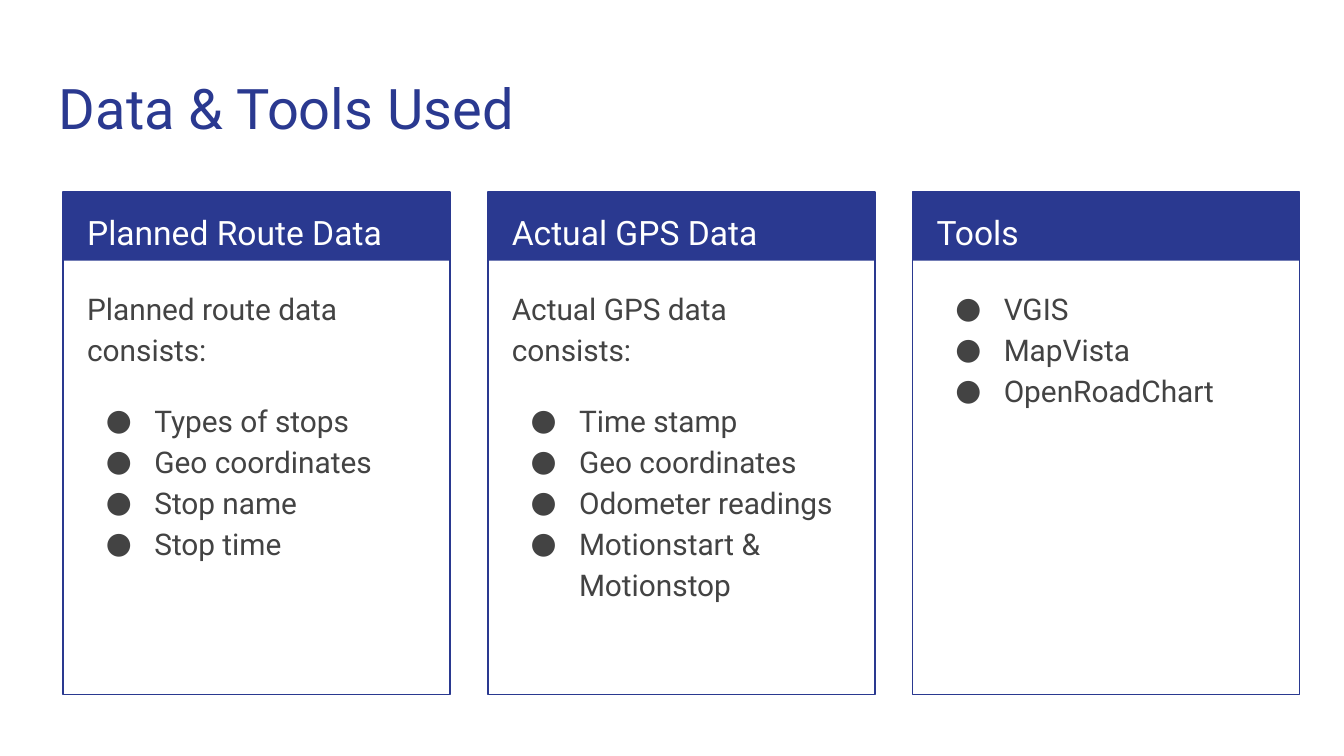
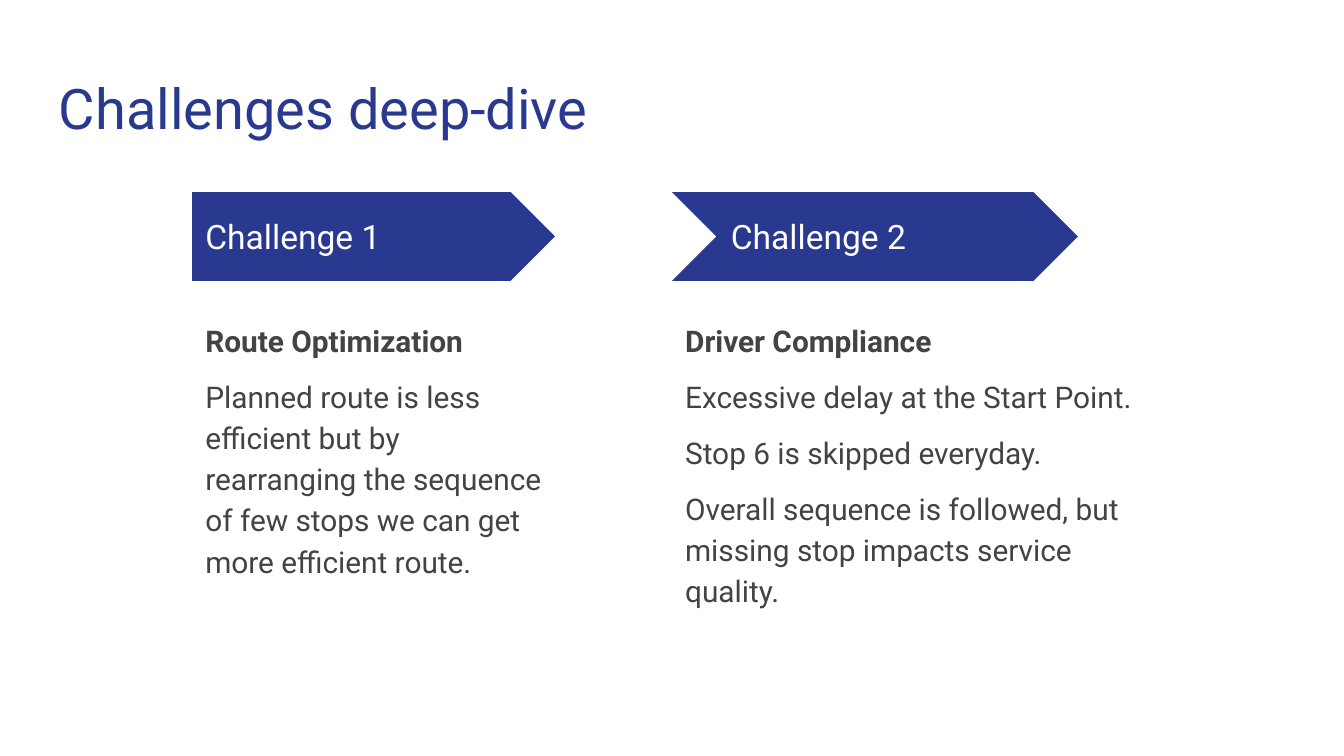
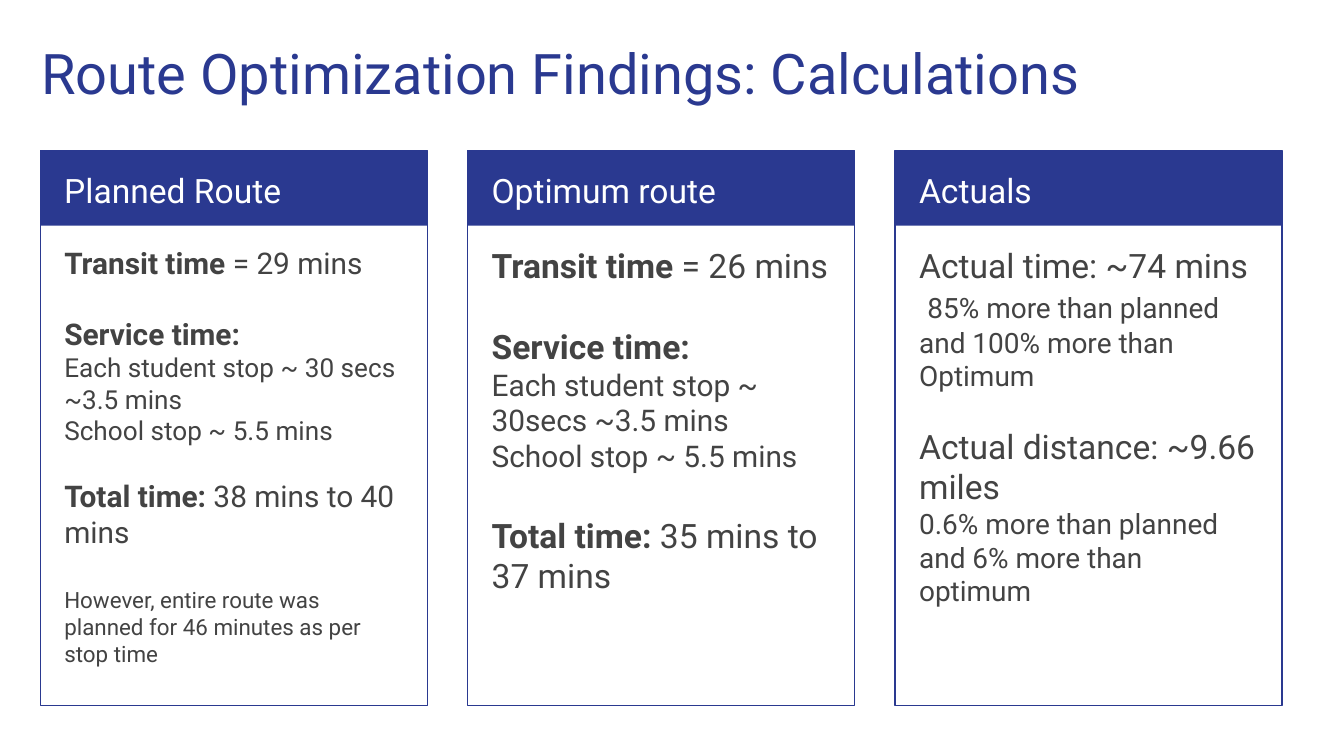
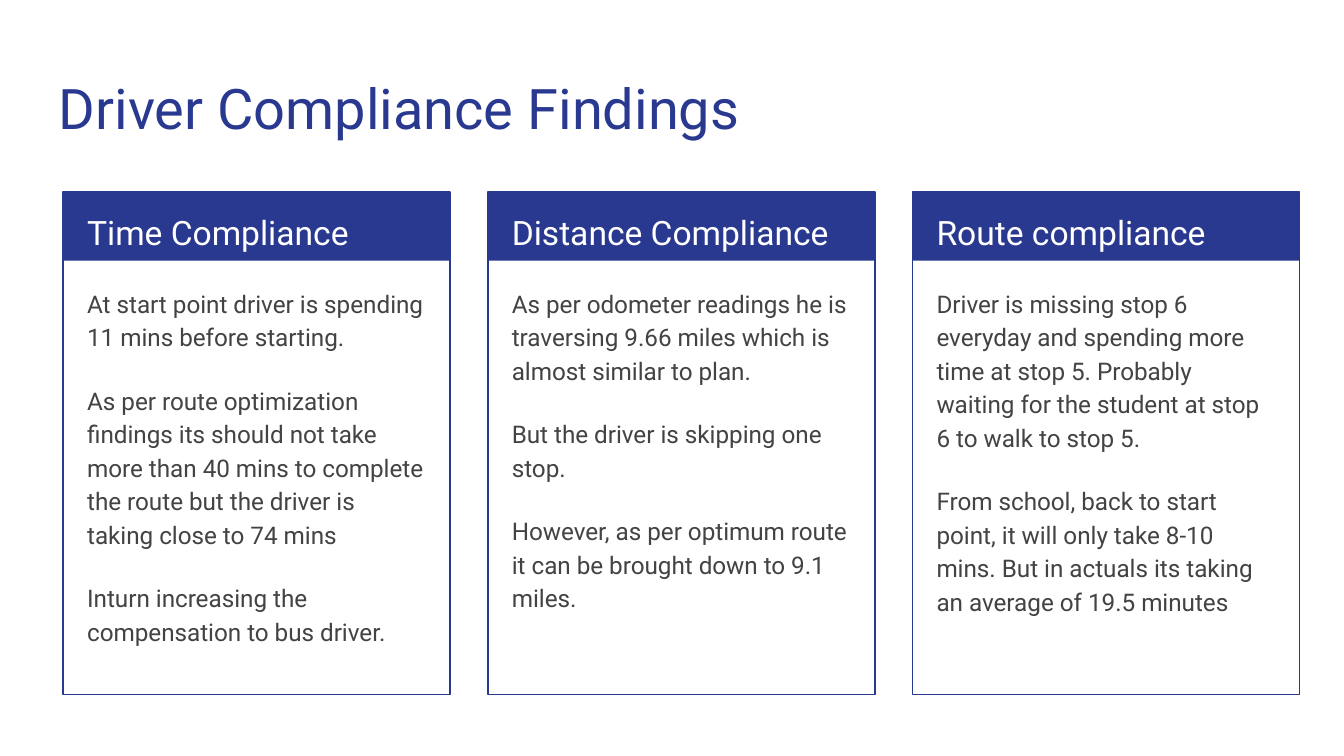
from dataclasses import dataclass, replace

from lxml import etree
from pptx import Presentation
from pptx.dml.color import RGBColor
from pptx.enum.shapes import MSO_SHAPE
from pptx.enum.text import MSO_ANCHOR
from pptx.oxml.ns import qn
from pptx.util import Emu, Pt

RECT = MSO_SHAPE.RECTANGLE
PENTAGON = MSO_SHAPE.PENTAGON
CHEVRON = MSO_SHAPE.CHEVRON
TOP = MSO_ANCHOR.TOP
MIDDLE = MSO_ANCHOR.MIDDLE

EMU_PER_PX = 9144
PAGE_WIDTH = 1000
FONT = "Roboto"
NAVY = "2A3990"
GREY = "434343"
WHITE = "FFFFFF"
PADDING = 10
BULLET_LEFT = 50
BULLET_HANG = 36
CARD_WIDTH = 288
TEXT_INSET = 8


@dataclass(frozen=True)
class Area:
    left: int
    top: int
    width: int
    height: int


@dataclass(frozen=True)
class Span:
    text: str
    size: int | None = None
    bold: bool | None = None


@dataclass(frozen=True)
class Para:
    spans: tuple[Span, ...]
    size: int = 16
    color: str = GREY
    bold: bool = False
    spacing: float = 1.15
    before: int = 0
    after: int = 0
    bullet: bool = False


@dataclass(frozen=True)
class Card:
    heading: str
    paras: list[Para]


@dataclass(frozen=True)
class CardGrid:
    left: int
    top: int
    pitch: int
    band_height: int
    height: int
    body_top: int
    body_height: int


@dataclass(frozen=True)
class Challenge:
    heading: str
    shape: MSO_SHAPE
    left: int
    arrow_width: int
    heading_left: int
    body_width: int
    paras: list[Para]


STANDARD_GRID = CardGrid(47, 143, 316, 51, 374, 202, 306)
TALL_GRID = CardGrid(30, 112, 318, 56, 413, 172, 347)
TITLE_AREA = Area(34, 45, 932, 66)
HIGH_TITLE_AREA = Area(21, 19, 932, 66)


def px(length: int) -> Emu:
    return Emu(length * EMU_PER_PX)


def rgb(color: str) -> RGBColor:
    return RGBColor.from_string(color)


def line(text: str, **style) -> Para:
    return Para((Span(text),), **style)


def bullets(*texts: str, before: int = 0) -> list[Para]:
    first, *rest = [line(text, bullet=True) for text in texts]
    return [replace(first, before=before), *rest]


def passages(*texts: str) -> list[Para]:
    return [line(text, size=13, before=16 if index else 0)
            for index, text in enumerate(texts)]


def labelled(label: str, value: str, size: int, before: int = 0) -> Para:
    return Para((Span(label, bold=True), Span(value)), size, spacing=1.0, before=before)


def timings(transit: str, stop: str, total: str, size: int, detail_size: int,
            gap: int, total_gap: int) -> list[Para]:
    return [
        labelled("Transit time", transit, size),
        line("Service time:", size=size, bold=True, spacing=1.0, before=gap),
        line(stop, size=detail_size, spacing=1.0),
        line("School stop ~ 5.5 mins", size=detail_size, spacing=1.0),
        labelled("Total time:", total, size, total_gap),
    ]


def add_bullet(paragraph, color: str) -> None:
    props = paragraph._p.get_or_add_pPr()
    props.set("marL", str(px(BULLET_LEFT)))
    props.set("indent", str(px(-BULLET_HANG)))
    bullet_color = etree.SubElement(props, qn("a:buClr"))
    etree.SubElement(bullet_color, qn("a:srgbClr")).set("val", color)
    etree.SubElement(props, qn("a:buFont")).set("typeface", FONT)
    etree.SubElement(props, qn("a:buChar")).set("char", "●")


def write_para(paragraph, para: Para) -> None:
    paragraph.line_spacing = para.spacing
    paragraph.space_before = Pt(para.before)
    paragraph.space_after = Pt(para.after)
    if para.bullet:
        add_bullet(paragraph, para.color)
    font = paragraph.font
    font.name = FONT
    font.size = Pt(para.size)
    font.bold = para.bold
    font.color.rgb = rgb(para.color)
    for span in para.spans:
        run = paragraph.add_run()
        run.text = span.text
        if span.size is not None:
            run.font.size = Pt(span.size)
        if span.bold is not None:
            run.font.bold = span.bold


def add_text(page, area: Area, paras: list[Para], anchor: MSO_ANCHOR = TOP) -> None:
    box = page.shapes.add_textbox(
        px(area.left), px(area.top), px(area.width), px(area.height))
    frame = box.text_frame
    frame.word_wrap = True
    frame.vertical_anchor = anchor
    frame.margin_left = frame.margin_right = px(PADDING)
    frame.margin_top = frame.margin_bottom = px(PADDING)
    for index, para in enumerate(paras):
        paragraph = frame.add_paragraph() if index else frame.paragraphs[0]
        write_para(paragraph, para)


def add_shape(page, kind: MSO_SHAPE, area: Area, filled: bool = True) -> None:
    shape = page.shapes.add_shape(
        kind, px(area.left), px(area.top), px(area.width), px(area.height))
    shape.shadow.inherit = False
    if filled:
        shape.fill.solid()
        shape.fill.fore_color.rgb = rgb(NAVY)
        shape.line.fill.background()
    else:
        shape.fill.background()
        shape.line.color.rgb = rgb(NAVY)
        shape.line.width = Pt(0.75)


def add_page(deck, title: str, area: Area = TITLE_AREA):
    page = deck.slides.add_slide(deck.slide_layouts[6])
    add_text(page, area, [line(title, size=30, color=NAVY, spacing=1.0)])
    return page


def add_cards(page, grid: CardGrid, cards: list[Card]) -> None:
    for index, card in enumerate(cards):
        left = grid.left + index * grid.pitch
        text_left = left + TEXT_INSET
        add_shape(page, RECT, Area(left, grid.top, CARD_WIDTH, grid.band_height))
        add_shape(page, RECT, Area(left, grid.top, CARD_WIDTH, grid.height), filled=False)
        add_text(page, Area(text_left, grid.top, 273, 50),
                 [line(card.heading, size=18, color=WHITE)])
        add_text(page, Area(text_left, grid.body_top, 271, grid.body_height), card.paras)


def add_challenge(page, challenge: Challenge) -> None:
    add_shape(page, challenge.shape, Area(challenge.left, 143, challenge.arrow_width, 66))
    add_text(page, Area(challenge.heading_left, 159, 247, 34),
             [line(challenge.heading, size=18, color=WHITE, spacing=1.0)], MIDDLE)
    add_text(page, Area(challenge.left, 226, challenge.body_width, 290), challenge.paras)


def build_data_and_tools(deck) -> None:
    page = add_page(deck, "Data & Tools Used")
    add_cards(page, STANDARD_GRID, [
        Card("Planned Route Data", [
            line("Planned route data consists:"),
            *bullets("Types of stops", "Geo coordinates", "Stop name", "Stop time",
                     before=16),
        ]),
        Card("Actual GPS Data", [
            line("Actual GPS data consists:"),
            *bullets("Time stamp", "Geo coordinates", "Odometer readings",
                     "Motionstart & Motionstop", before=16),
        ]),
        Card("Tools", bullets("VGIS", "MapVista", "OpenRoadChart")),
    ])


def build_challenges(deck) -> None:
    page = add_page(deck, "Challenges deep-dive")
    add_challenge(page, Challenge("Challenge 1", PENTAGON, 143, 270, 143, 270, [
        line("Route Optimization", bold=True),
        line("Planned route is less efficient but by rearranging the sequence "
             "of few stops we can get more efficient route.", before=8, after=8),
    ]))
    add_challenge(page, Challenge("Challenge 2", CHEVRON, 500, 302, 534, 364, [
        line("Driver Compliance", bold=True),
        line("Excessive delay at the Start Point.", before=8),
        line("Stop 6 is skipped everyday.", before=8),
        line("Overall sequence is followed, but missing stop impacts service quality.",
             before=8, after=8),
    ]))


def build_calculations(deck) -> None:
    page = add_page(deck, "Route Optimization Findings: Calculations", HIGH_TITLE_AREA)
    add_cards(page, TALL_GRID, [
        Card("Planned Route", [
            *timings(" = 29 mins", "Each student stop ~ 30 secs ~3.5 mins",
                     " 38 mins to 40 mins", 16, 14, 19, 17),
            line("However, entire route was planned for 46 minutes as per stop time",
                 size=12, spacing=1.0, before=20),
        ]),
        Card("Optimum route",
             timings(" = 26 mins", "Each student stop ~ 30secs ~3.5 mins",
                     " 35 mins to 37 mins", 18, 16, 22, 22)),
        Card("Actuals", [
            line("Actual time: ~74 mins", size=18, spacing=1.0),
            Para((Span(" ", size=18),
                  Span("85% more than planned and 100% more than Optimum")),
                 15, spacing=1.0),
            line("Actual distance: ~9.66 miles", size=18, spacing=1.0, before=18),
            line("0.6% more than planned and 6% more than optimum",
                 size=15, spacing=1.0),
        ]),
    ])


def build_compliance(deck) -> None:
    page = add_page(deck, "Driver Compliance Findings")
    add_cards(page, STANDARD_GRID, [
        Card("Time Compliance", passages(
            "At start point driver is spending 11 mins before starting.",
            "As per route optimization findings its should not take more than 40 mins "
            "to complete the route but the driver is taking close to 74 mins",
            "Inturn increasing the compensation to bus driver.")),
        Card("Distance Compliance", passages(
            "As per odometer readings he is traversing 9.66 miles which is almost "
            "similar to plan.",
            "But the driver is skipping one stop.",
            "However, as per optimum route it can be brought down to 9.1 miles.")),
        Card("Route compliance", passages(
            "Driver is missing stop 6 everyday and spending more time at stop 5. "
            "Probably waiting for the student at stop 6 to walk to stop 5.",
            "From school, back to start point, it will only take 8-10 mins. "
            "But in actuals its taking an average of 19.5 minutes")),
    ])


def main() -> None:
    deck = Presentation()
    deck.slide_width = px(PAGE_WIDTH)
    deck.slide_height = Emu(px(PAGE_WIDTH) * 9 // 16)
    build_data_and_tools(deck)
    build_challenges(deck)
    build_calculations(deck)
    build_compliance(deck)
    deck.save("out.pptx")


if __name__ == "__main__":
    main()
